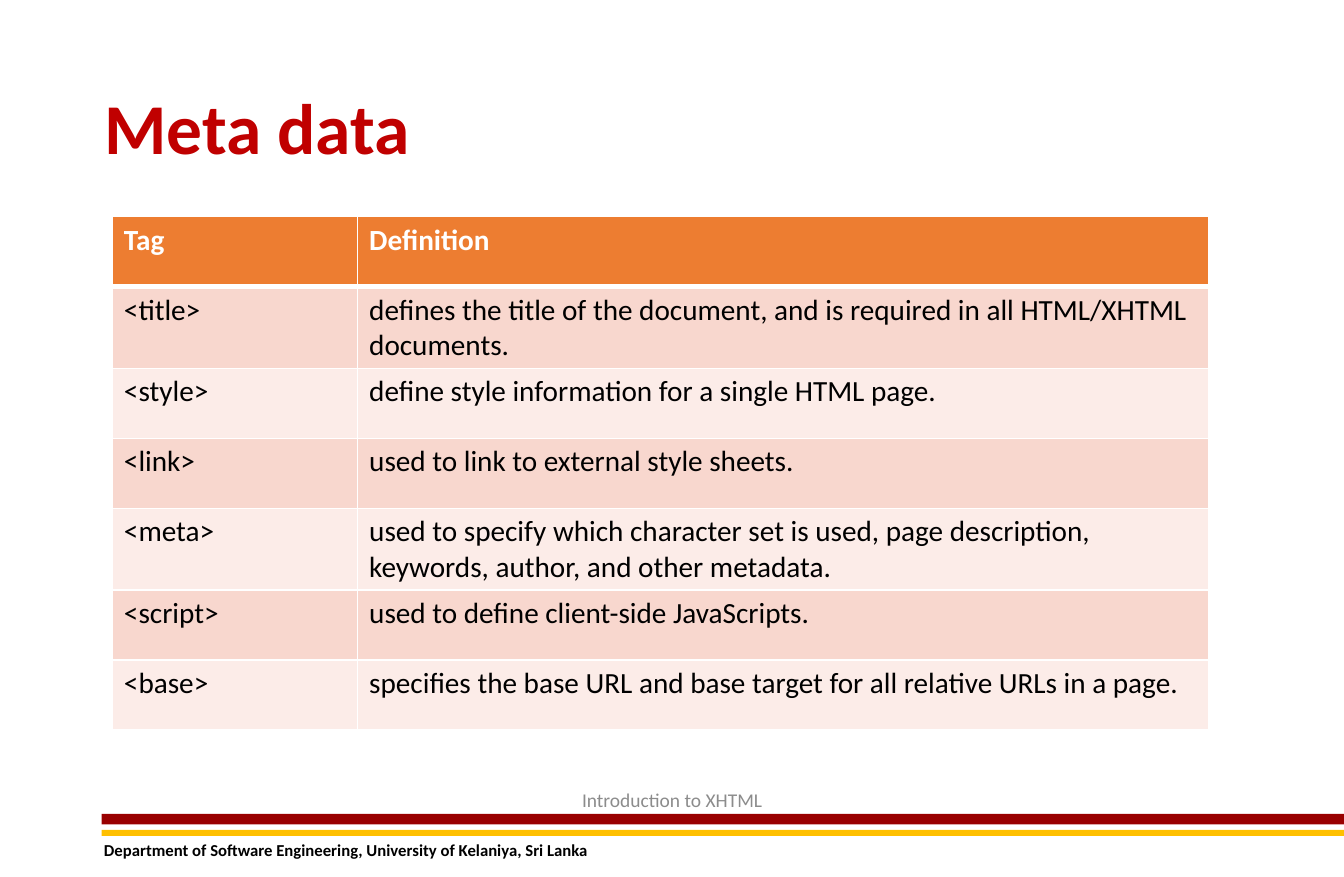
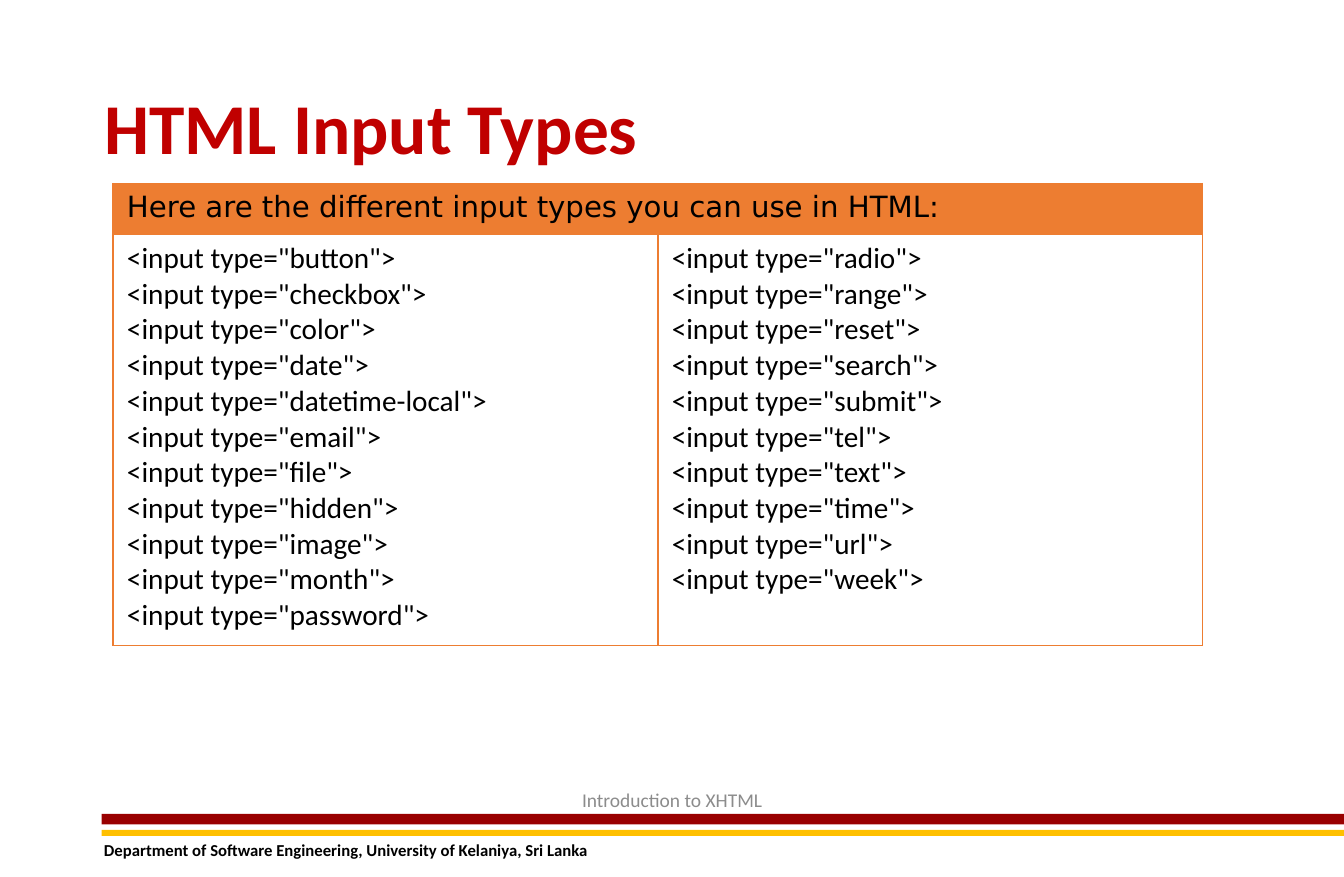
from lxml import etree
from pptx import Presentation
from pptx.dml.color import RGBColor
from pptx.enum import shapes, text
from pptx.oxml.ns import qn
from pptx.util import Cm, Pt

COLORS = {
    "title": "C00000", "red": "990000", "gold": "FFC000", "orange": "ED7D31",
    "pink": "F8D7CE", "pale": "FCECE8", "gray": "8C8C8C",
    "black": "000000", "white": "FFFFFF",
}


def write(frame, content, size=18, color="black", font="Calibri", bold=False,
          align=text.PP_ALIGN.LEFT, anchor=text.MSO_ANCHOR.TOP, spacing=None):
    """Fill a text frame with one paragraph per line of content."""
    frame.word_wrap = True
    frame.vertical_anchor = anchor
    for index, line in enumerate(content.split("\n")):
        para = frame.add_paragraph() if index else frame.paragraphs[0]
        para.alignment = align
        para.line_spacing = spacing
        span = para.add_run()
        span.text = line
        span.font.name = font
        span.font.size = Pt(size)
        span.font.bold = bold
        span.font.color.rgb = RGBColor.from_string(COLORS[color])


def style_cell(cell, border, fill=None, top=1, bottom=1):
    """Set the fill and the four borders, with widths in points."""
    if fill:
        cell.fill.solid()
        cell.fill.fore_color.rgb = RGBColor.from_string(COLORS[fill])
    else:
        cell.fill.background()
    properties = cell._tc.get_or_add_tcPr()
    widths = {"lnL": 1, "lnR": 1, "lnT": top, "lnB": bottom}
    for index, (side, width) in enumerate(widths.items()):
        line = etree.Element(qn(f"a:{side}"), w=str(Pt(width)))
        solid = etree.SubElement(line, qn("a:solidFill"))
        etree.SubElement(solid, qn("a:srgbClr"), val=COLORS[border])
        properties.insert(index, line)


deck = Presentation()
deck.slide_width, deck.slide_height = Cm(29.21), Cm(19.05)

# Shared title, bands and footers
pages = []
for heading in ("Meta data", "HTML Input Types"):
    page = deck.slides.add_slide(deck.slide_layouts[5])
    pages.append(page)

    for top, height, color in ((17.68, 0.23, "red"), (18.03, 0.13, "gold")):
        band = page.shapes.add_shape(shapes.MSO_SHAPE.RECTANGLE,
                                     Cm(2.21), Cm(top), Cm(27), Cm(height))
        band.shadow.inherit = False
        band.fill.solid()
        band.fill.fore_color.rgb = RGBColor.from_string(COLORS[color])
        band.line.fill.background()

    department = page.shapes.add_textbox(Cm(2.01), Cm(18.11), Cm(27), Cm(0.71))
    write(department.text_frame,
          "Department of Software Engineering, University of Kelaniya, Sri Lanka",
          size=10.3, bold=True)

    title = page.shapes.title
    title.left, title.top, title.width, title.height = (
        Cm(2.01), Cm(1.02), Cm(25.2), Cm(3.68))
    write(title.text_frame, heading, size=44, color="title", bold=True,
          anchor=text.MSO_ANCHOR.MIDDLE, spacing=0.9)

    topic = page.shapes.add_textbox(Cm(9.68), Cm(16.87), Cm(9.86), Cm(1.02))
    write(topic.text_frame, "Introduction to XHTML", size=12, color="gray",
          align=text.PP_ALIGN.CENTER, anchor=text.MSO_ANCHOR.MIDDLE)

meta_page, input_page = pages

# Meta data tags
tags = [
    ("Tag", "Definition"),
    ("<title>", "defines the title of the document, and is required in all "
                "HTML/XHTML documents."),
    ("<style>", "define style information for a single HTML page."),
    ("<link>", "used to link to external style sheets."),
    ("<meta>", "used to specify which character set is used, page description, "
               "keywords, author, and other metadata."),
    ("<script>", "used to define client-side JavaScripts."),
    ("<base>", "specifies the base URL and base target for all relative URLs "
               "in a page."),
]
tag_table = meta_page.shapes.add_table(
    len(tags), 2, Cm(2.44), Cm(4.7), Cm(23.82), Cm(1.52 * len(tags))).table
tag_table.columns[0].width = Cm(5.33)
tag_table.columns[1].width = Cm(18.49)
for row, entry in enumerate(tags):
    tag_table.rows[row].height = Cm(1.52)
    header = row == 0
    fill = "orange" if header else ("pale", "pink")[row % 2]
    for column, content in enumerate(entry):
        cell = tag_table.cell(row, column)
        write(cell.text_frame, content, bold=header,
              color="white" if header else "black")
        style_cell(cell, "white", fill, top=3 if row == 1 else 1,
                   bottom=3 if header else 1)

# Input types
input_types = [
    ("button", "checkbox", "color", "date", "datetime-local", "email", "file",
     "hidden", "image", "month", "password"),
    ("radio", "range", "reset", "search", "submit", "tel", "text", "time",
     "url", "week"),
]
input_table = input_page.shapes.add_table(
    2, 2, Cm(2.46), Cm(3.99), Cm(23.68), Cm(10.03)).table
input_table.rows[0].height = Cm(1.09)
input_table.rows[1].height = Cm(8.94)
for cell in input_table.iter_cells():
    cell.margin_left = Cm(0.3)
    cell.margin_top = cell.margin_right = cell.margin_bottom = Cm(0.15)
intro = input_table.cell(0, 0)
intro.merge(input_table.cell(0, 1))
write(intro.text_frame, "Here are the different input types you can use in HTML:",
      font="DejaVu Sans")
for column, names in enumerate(input_types):
    style_cell(input_table.cell(0, column), "orange", "orange")
    listing = input_table.cell(1, column)
    write(listing.text_frame,
          "\n".join(f'<input type="{name}">' for name in names))
    style_cell(listing, "orange")

deck.save("out.pptx")
